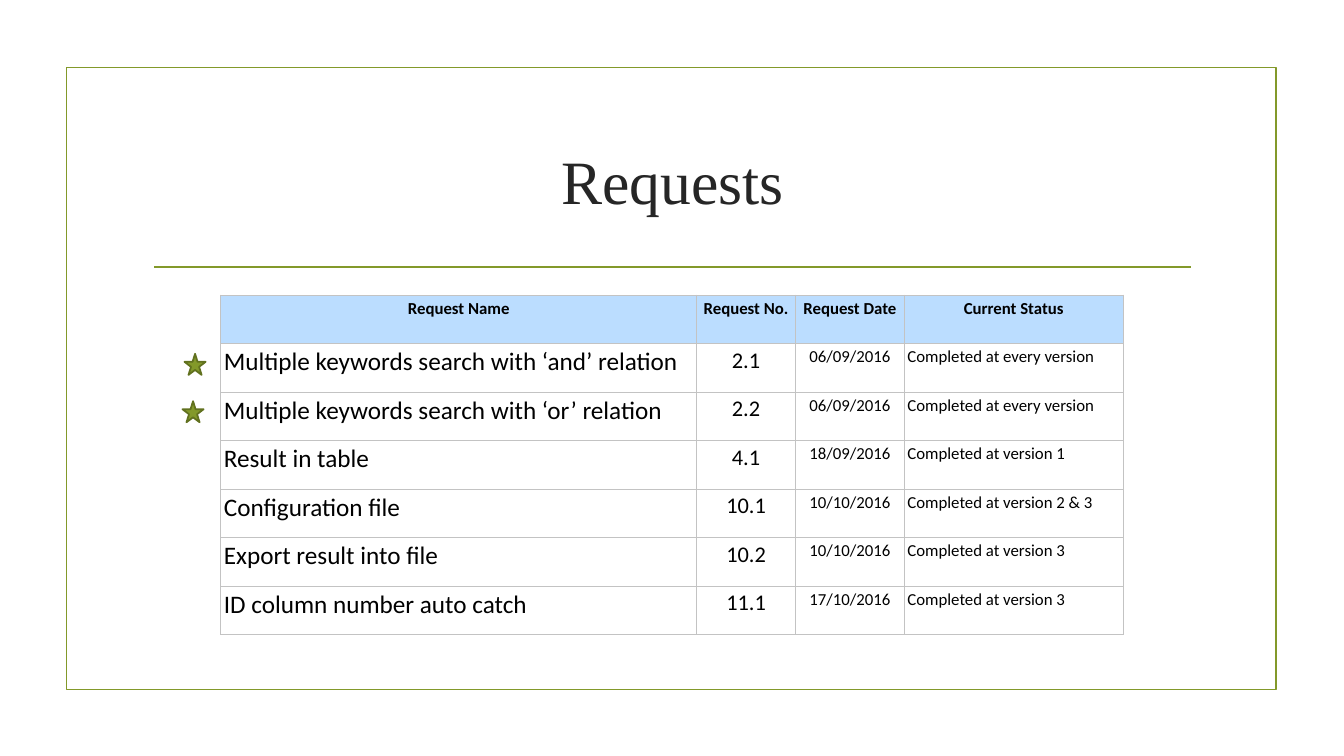
"""Build the Requests slide: a framed title, a table of requests and two stars."""
from lxml import etree
from pptx import Presentation
from pptx.dml.color import RGBColor
from pptx.enum import shapes, text
from pptx.oxml import ns
from pptx.util import Inches, Pt

GREEN, DARK, GREY, BLUE = "83992A", "61711F", "C3C3C3", "BBDDFF"
HEAD = ["Request Name", "Request No.", "Request Date", "Current Status"]
ROWS = [
    ("Multiple keywords search with ‘and’ relation", "2.1", "06/09/2016", "Completed at every version"),
    ("Multiple keywords search with ‘or’ relation", "2.2", "06/09/2016", "Completed at every version"),
    ("Result in table", "4.1", "18/09/2016", "Completed at version 1"),
    ("Configuration file", "10.1", "10/10/2016", "Completed at version 2 & 3"),
    ("Export result into file", "10.2", "10/10/2016", "Completed at version 3"),
    ("ID column number auto catch", "11.1", "17/10/2016", "Completed at version 3"),
]
MID, JUST = text.PP_ALIGN.CENTER, text.PP_ALIGN.JUSTIFY
COLS = [(4.72, 18, JUST), (0.98, 16, MID), (1.08, 12, MID), (2.17, 12, JUST)]
FRAME = (0.66, 0.67, 12, 6.17)
RULE = (1.53, 2.65, 11.81, 2.65)
TITLE = (1.42, 1.07, 10.5, 1.43)
TABLE = (2.19, 2.93, 8.95, 3.37)
STARS = [(1.83, 3.51), (1.81, 3.98)]
STAR = 0.21
PAD = dict.fromkeys(("margin_left", "margin_right", "margin_top", "margin_bottom"), Inches(0.03))
GAPS = {"space_before": Pt(6), "space_after": Pt(11.2)}


def tint(code):
    return RGBColor.from_string(code)


def assign(item, values):
    for name, value in values.items():
        setattr(item, name, value)


def box(at):
    return [Inches(n) for n in at]


def write(frame, words, font, size, color, align, bold=False):
    frame.text = words
    para = frame.paragraphs[0]
    para.alignment = align
    run = para.runs[0].font
    assign(run, {"name": font, "size": Pt(size), "bold": bold})
    run.color.rgb = tint(color)
    return para


def stroke(line, color):
    line.color.rgb = tint(color)
    line.width = Pt(1.25)


def draw(slide, kind, at, line, fill=None):
    shape = slide.shapes.add_shape(kind, *box(at))
    shape.shadow.inherit = False
    stroke(shape.line, line)
    if fill:
        shape.fill.solid()
        shape.fill.fore_color.rgb = tint(fill)
    else:
        shape.fill.background()


def edge(cell):
    props = cell._tc.get_or_add_tcPr()
    for side in ("lnL", "lnR", "lnT", "lnB"):
        line = etree.SubElement(props, ns.qn("a:" + side), w=str(Pt(1)))
        fill = etree.SubElement(line, ns.qn("a:solidFill"))
        etree.SubElement(fill, ns.qn("a:srgbClr"), val=GREY)


def fill_table(slide):
    data = [HEAD, *ROWS]
    table = slide.shapes.add_table(len(data), len(COLS), *box(TABLE)).table
    assign(table, {"first_row": False, "horz_banding": False})
    for col, (width, _, _) in zip(table.columns, COLS):
        col.width = Inches(width)
    for r, row in enumerate(data):
        table.rows[r].height = Inches(TABLE[3] / len(data))
        for c, (words, (_, size, align)) in enumerate(zip(row, COLS)):
            cell = table.cell(r, c)
            assign(cell, PAD)
            edge(cell)
            if r == 0:
                size, align = 12, MID
                cell.fill.solid()
                cell.fill.fore_color.rgb = tint(BLUE)
            else:
                cell.fill.background()
            para = write(cell.text_frame, words, "Calibri", size, "000000", align, r == 0)
            assign(para, GAPS)


def main():
    deck = Presentation()
    assign(deck, {"slide_width": Inches(13.33), "slide_height": Inches(7.5)})
    slide = deck.slides.add_slide(deck.slide_layouts[5])
    draw(slide, shapes.MSO_SHAPE.RECTANGLE, FRAME, GREEN)
    rule = slide.shapes.add_connector(shapes.MSO_CONNECTOR.STRAIGHT, *box(RULE))
    stroke(rule.line, GREEN)
    etree.SubElement(rule._element.spPr, ns.qn("a:effectLst"))
    title = slide.shapes.title
    assign(title, dict(zip(("left", "top", "width", "height"), box(TITLE))))
    title.text_frame.vertical_anchor = text.MSO_ANCHOR.MIDDLE
    write(title.text_frame, "Requests", "Times New Roman", 44, "262626", MID)
    fill_table(slide)
    for spot in STARS:
        draw(slide, shapes.MSO_SHAPE.STAR_5_POINT, (*spot, STAR, STAR), DARK, GREEN)
    deck.save("out.pptx")


if __name__ == "__main__":
    main()
